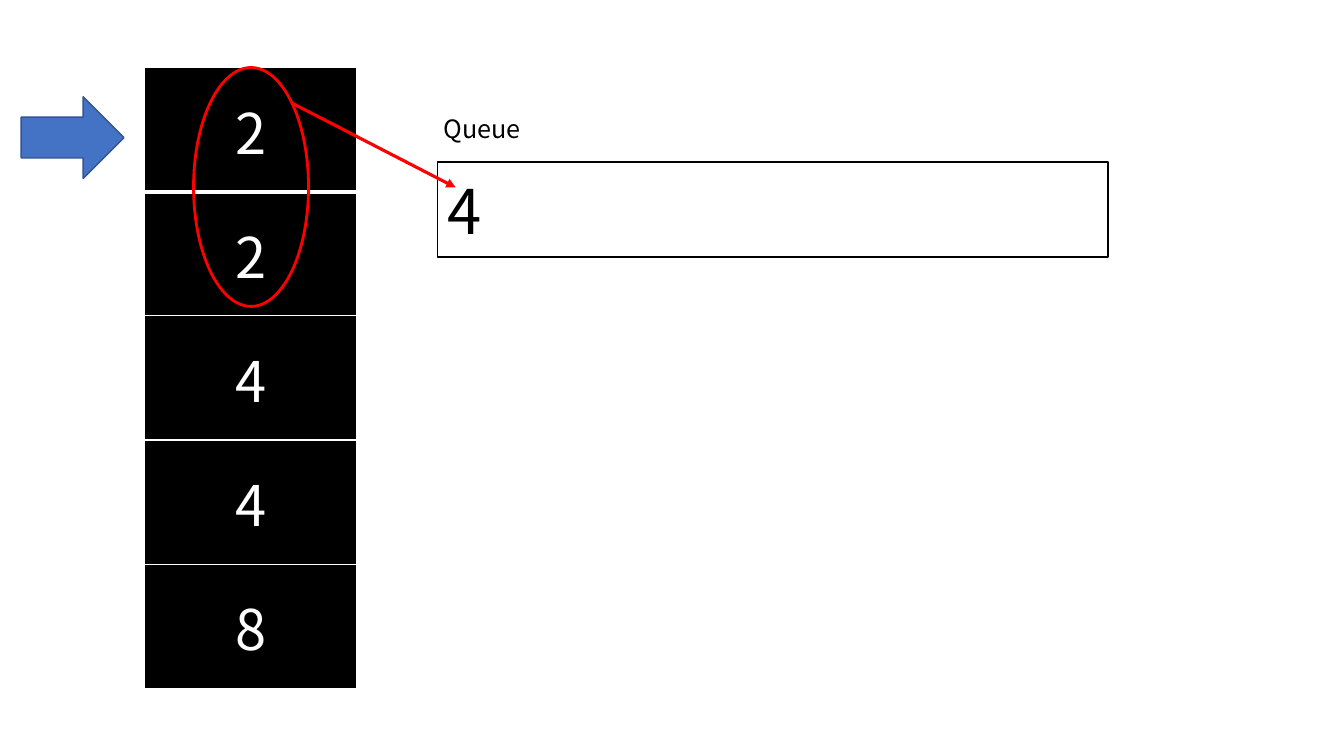
from lxml import etree
from pptx import Presentation
from pptx import util as u
from pptx.dml.color import RGBColor
from pptx.enum import shapes, text
from pptx.oxml import ns

BLACK = RGBColor(0x00, 0x00, 0x00)
WHITE = RGBColor(0xFF, 0xFF, 0xFF)
RED = RGBColor(0xFF, 0x00, 0x00)
BLUE = RGBColor(0x44, 0x72, 0xC4)
DARK_BLUE = RGBColor(0x32, 0x54, 0x91)


def grid(*cells):
    """Turn grid columns and rows (ten to the inch) into lengths."""
    return [u.Inches(c / 10) for c in cells]


class Board:
    font = "Noto Sans CJK KR"

    def __init__(self, prs):
        self.slide = prs.slides.add_slide(prs.slide_layouts[6])

    def set_text(self, tf, words, size, color, align=text.PP_ALIGN.LEFT):
        tf.text = words
        p = tf.paragraphs[0]
        p.alignment = align
        r = p.runs[0]
        r.font.name, r.font.size = self.font, u.Pt(size)
        r.font.color.rgb = color

    def shape(self, kind, box, line, width, fill=None):
        sp = self.slide.shapes.add_shape(kind, *grid(*box))
        sp.shadow.inherit = False
        if fill is None:
            sp.fill.background()
        else:
            sp.fill.solid()
            sp.fill.fore_color.rgb = fill
        sp.line.color.rgb = line
        sp.line.width = u.Pt(width)
        return sp

    def label(self, box, words, size):
        tf = self.slide.shapes.add_textbox(*grid(*box)).text_frame
        tf.word_wrap = True
        self.set_text(tf, words, size, BLACK)

    def border(self, cell, side, width):
        tc_pr = cell._tc.get_or_add_tcPr()
        ln = etree.SubElement(tc_pr, ns.qn(f"a:ln{side}"), w=str(u.Pt(width)))
        fill = etree.SubElement(ln, ns.qn("a:solidFill"))
        etree.SubElement(fill, ns.qn("a:srgbClr"), val=str(WHITE))

    def stack(self, box, values):
        frame = self.slide.shapes.add_table(len(values), 1, *grid(*box))
        table = frame.table
        table.first_row = table.horz_banding = False
        for i, value in enumerate(values):
            cell = table.cell(i, 0)
            # The rule between the first two rows is thicker
            widths = {"L": 1, "R": 1, "T": 3 if i == 1 else 1, "B": 3 if i == 0 else 1}
            for side, width in widths.items():
                self.border(cell, side, width)
            cell.fill.solid()
            cell.fill.fore_color.rgb = BLACK
            cell.vertical_anchor = text.MSO_ANCHOR.MIDDLE
            self.set_text(cell.text_frame, value, 40, WHITE, text.PP_ALIGN.CENTER)

    def arrow(self, ends, color, width):
        cxn = self.slide.shapes.add_connector(shapes.MSO_CONNECTOR.STRAIGHT, *grid(*ends))
        cxn.line.color.rgb = color
        cxn.line.width = u.Pt(width)
        ln = cxn._element.spPr.find(ns.qn("a:ln"))
        etree.SubElement(ln, ns.qn("a:tailEnd"), type="triangle")
        etree.SubElement(cxn._element.spPr, ns.qn("a:effectLst"))


def main():
    prs = Presentation()
    prs.slide_width, prs.slide_height = u.Inches(13.33), u.Inches(7.5)
    board = Board(prs)
    kinds = shapes.MSO_SHAPE

    # Stack of numbers and its pointer
    board.stack((14.3, 6.7, 21.1, 61.6), "22448")
    board.shape(kinds.RIGHT_ARROW, (2.1, 9.6, 10.2, 8.1), DARK_BLUE, 1, BLUE)

    # Queue
    queue = board.shape(kinds.RECTANGLE, (43.4, 16.1, 66.5, 9.4), BLACK, 1.25)
    queue.text_frame.vertical_anchor = text.MSO_ANCHOR.MIDDLE
    board.set_text(queue.text_frame, "4", 44, BLACK)
    board.label((43, 10.8, 24.3, 4), "Queue", 18)

    # Merged pair moving into the queue
    board.shape(kinds.OVAL, (19.2, 6.7, 11.4, 23.7), RED, 2)
    board.arrow((28.9, 10.2, 45.2, 18.6), RED, 2.25)

    prs.save("out.pptx")


if __name__ == "__main__":
    main()
